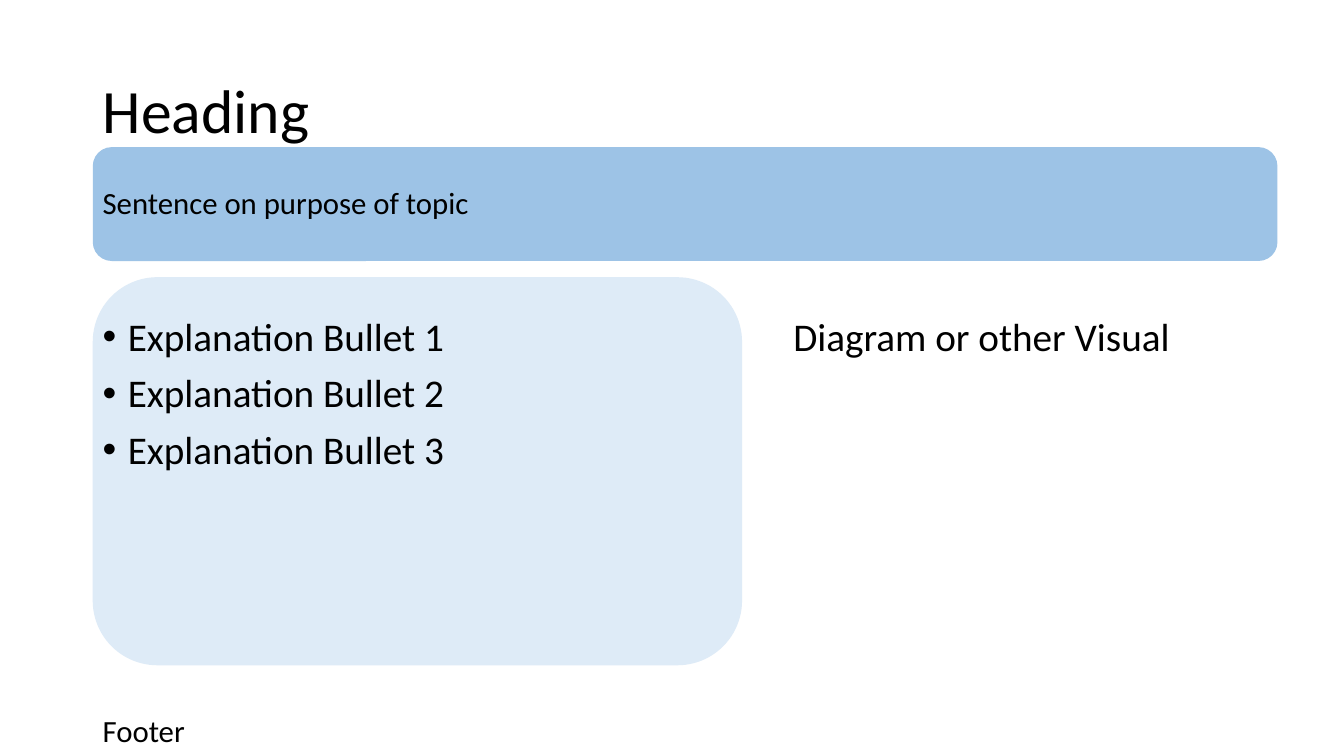
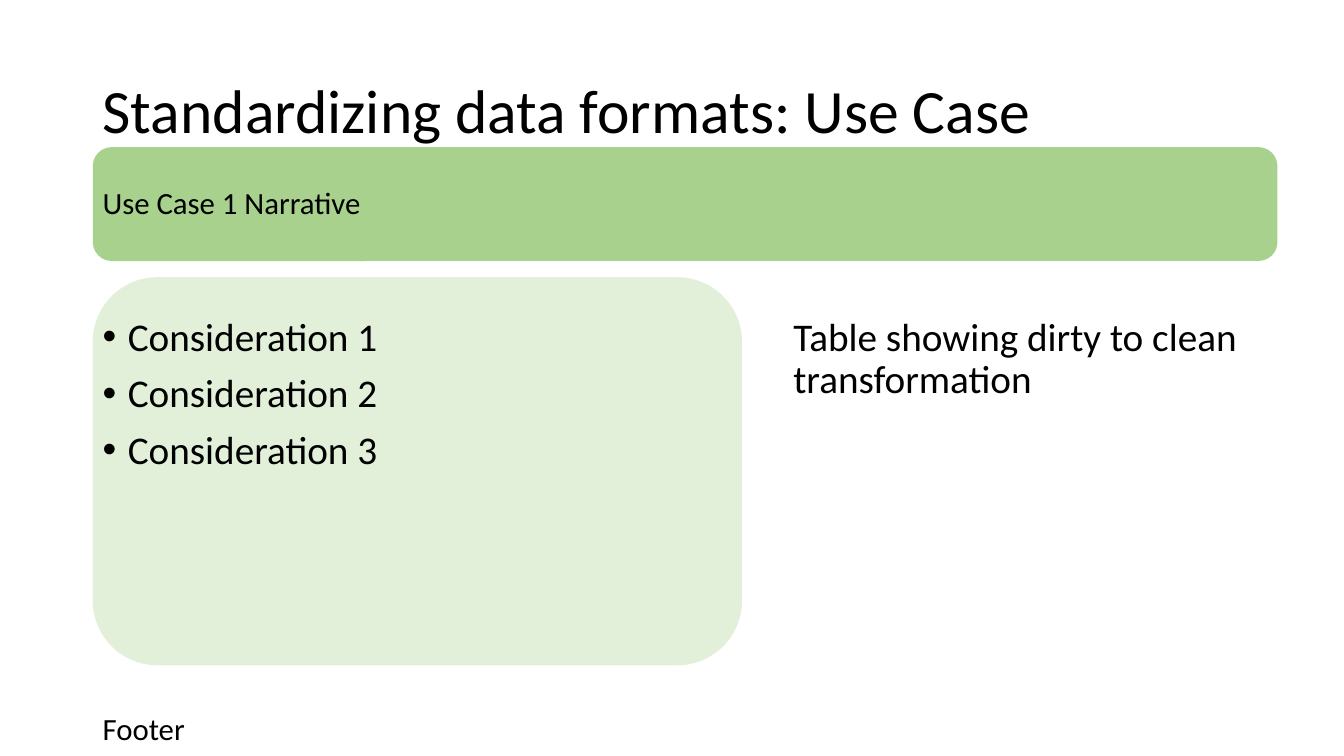
import pptx
import pptx.dml.color
import pptx.enum.shapes
import pptx.enum.text
import pptx.oxml
import pptx.oxml.ns
import pptx.util

Inches = pptx.util.Inches
Pt = pptx.util.Pt
RGBColor = pptx.dml.color.RGBColor
ANCHOR = pptx.enum.text.MSO_ANCHOR

BLACK = RGBColor(0x00, 0x00, 0x00)
BLUE = RGBColor(0x9D, 0xC3, 0xE6)
PALE_BLUE = RGBColor(0xDE, 0xEB, 0xF7)
GREEN = RGBColor(0xA9, 0xD1, 0x8E)
PALE_GREEN = RGBColor(0xE2, 0xF0, 0xD9)

LEFT = 0.92
WIDE = 11.5
LINE = 1.45
BODY_TOP = 3.1
BODY_WIDTH = 5.56
BODY_HEIGHT = 3.65

TOPICS = [
    {
        "title": "Heading",
        "lead": "Sentence on purpose of topic",
        "points": [f"Explanation Bullet {n}" for n in range(1, 4)],
        "aside": "Diagram or other Visual",
        "band": BLUE,
        "panel": PALE_BLUE,
        "foot": 6.54,
    },
    {
        "title": "Standardizing data formats: Use Case",
        "lead": "Use Case 1 Narrative",
        "points": [f"Consideration {n}" for n in range(1, 4)],
        "aside": "Table showing dirty to clean transformation",
        "band": GREEN,
        "panel": PALE_GREEN,
        "foot": 6.52,
    },
]


def apply(target, values):
    for name, value in values.items():
        setattr(target, name, value)


class Deck:
    font = {"name": "Calibri", "color": BLACK}

    def __init__(self):
        self.file = pptx.Presentation()
        apply(self.file, {"slide_width": Inches(13.33), "slide_height": Inches(7.5)})
        self.slide = None

    def page(self):
        self.slide = self.file.slides.add_slide(self.file.slide_layouts[6])

    def panel(self, left, top, width, height, color):
        kind = pptx.enum.shapes.MSO_SHAPE.ROUNDED_RECTANGLE
        shape = self.slide.shapes.add_shape(
            kind, Inches(left), Inches(top), Inches(width), Inches(height))
        shape.shadow.inherit = False
        shape.fill.solid()
        shape.fill.fore_color.rgb = color
        shape.line.fill.background()

    def text(self, lines, left, top, width, height, size, anchor, before=0):
        box = self.slide.shapes.add_textbox(
            Inches(left), Inches(top), Inches(width), Inches(height))
        frame = box.text_frame
        apply(frame, {"word_wrap": True, "vertical_anchor": anchor,
                      "text": "\n".join(lines)})
        for para in frame.paragraphs:
            apply(para, {"line_spacing": 0.9, "space_before": Pt(before)})
            font = para.runs[0].font
            apply(font, {"name": self.font["name"], "size": Pt(size)})
            font.color.rgb = self.font["color"]
        return frame

    def line(self, text, top, size=22):
        self.text([text], LEFT, top, WIDE, LINE, size, ANCHOR.MIDDLE)

    def body(self, lines, left):
        return self.text(lines, left, BODY_TOP, BODY_WIDTH, BODY_HEIGHT,
                         28, ANCHOR.TOP, 10)

    def bullets(self, lines, left):
        indent = Inches(0.25)
        space = pptx.oxml.ns.nsdecls("a")
        for para in self.body(lines, left).paragraphs:
            props = para._p.get_or_add_pPr()
            props.set("marL", str(indent))
            props.set("indent", str(-indent))
            for mark in ('buFont {} typeface="Arial"', 'buChar {} char="•"'):
                props.append(pptx.oxml.parse_xml(f"<a:{mark.format(space)}/>"))

    def topic(self, item):
        self.page()
        self.panel(LEFT, 2.75, 6.44, 3.85, item["panel"])
        self.panel(LEFT, 1.46, 11.75, 1.13, item["band"])
        self.line(item["title"], 0.4, 44)
        self.line(item["lead"], 1.3)
        self.bullets(item["points"], LEFT)
        self.body([item["aside"]], 7.77)
        self.line("Footer", item["foot"])


def main():
    deck = Deck()
    for item in TOPICS:
        deck.topic(item)
    deck.file.save("out.pptx")


if __name__ == "__main__":
    main()
